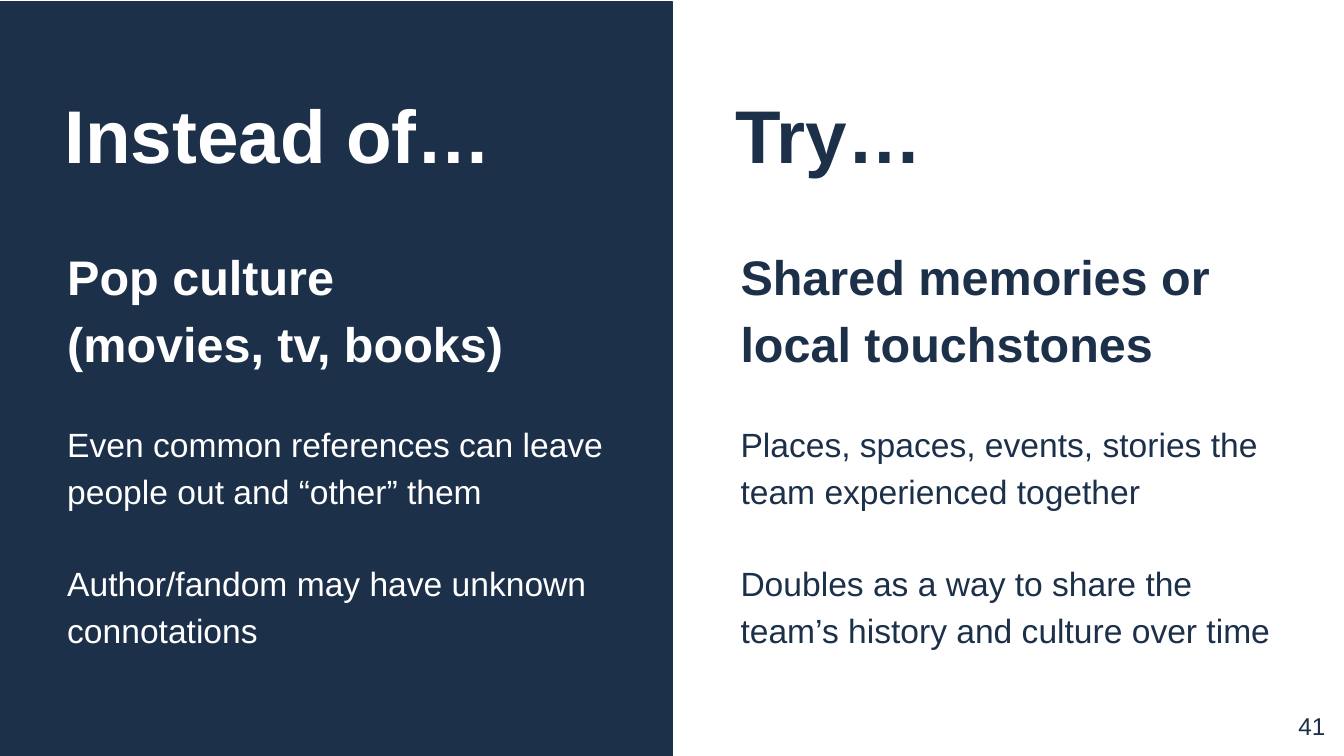
from dataclasses import dataclass

from pptx import Presentation
from pptx.dml.color import RGBColor
from pptx.enum.shapes import MSO_SHAPE as Shape
from pptx.enum.text import MSO_ANCHOR as Anchor, PP_ALIGN as Align
from pptx.slide import Slide
from pptx.util import Inches, Pt

WIDTH = 10
HEIGHT = WIDTH * 9 / 16
COLUMN = WIDTH / 2
NAVY, WHITE = "1C304A", "FFFFFF"
FONT = "Arial"
BODY_GAP = 24.8  # one body line, in points


@dataclass(frozen=True)
class Line:
    text: str
    size: float
    bold: bool = False
    space_before: float = 0
    spacing: float = 1.0
    align: Align = Align.LEFT


@dataclass(frozen=True)
class Panel:
    column: int
    top: float
    height: float
    fill: str
    ink: str
    title_indent: float
    body_indent: float
    body_width: float
    title: str
    headings: tuple[str, ...]
    points: tuple[str, ...]


PANELS = (
    Panel(1, 0, HEIGHT, WHITE, NAVY, 0.47, 0.51, 4.11, "Try…",
          ("Shared memories or local touchstones",),
          ("Places, spaces, events, stories the team experienced together",
           "Doubles as a way to share the team’s history and culture over time")),
    Panel(0, 0.01, 5.62, NAVY, WHITE, 0.48, 0.5, 4.45, "Instead of…",
          ("Pop culture", "(movies, tv, books)"),
          ("Even common references can leave people out and “other” them",
           "Author/fandom may have unknown connotations")),
)


def color(value: str) -> RGBColor:
    return RGBColor.from_string(value)


def add_text(slide: Slide, left: float, top: float, width: float, height: float,
             lines: list[Line], ink: str, inset: float = 0) -> None:
    box = slide.shapes.add_textbox(Inches(left), Inches(top), Inches(width), Inches(height))
    frame = box.text_frame
    frame.word_wrap = True
    frame.vertical_anchor = Anchor.TOP
    frame.margin_left = frame.margin_right = Inches(inset)
    frame.margin_top = frame.margin_bottom = Inches(inset)
    for index, line in enumerate(lines):
        paragraph = frame.add_paragraph() if index else frame.paragraphs[0]
        paragraph.text = line.text
        paragraph.alignment = line.align
        paragraph.line_spacing = line.spacing
        paragraph.space_before = Pt(line.space_before)
        font = paragraph.font
        font.name, font.size, font.bold = FONT, Pt(line.size), line.bold
        font.color.rgb = color(ink)


def add_panel(slide: Slide, panel: Panel) -> None:
    left = panel.column * COLUMN
    background = slide.shapes.add_shape(
        Shape.RECTANGLE, Inches(left), Inches(panel.top), Inches(COLUMN), Inches(panel.height))
    background.shadow.inherit = False
    background.fill.solid()
    background.fill.fore_color.rgb = color(panel.fill)
    background.line.color.rgb = color(panel.fill)
    background.line.width = Pt(0.75)

    add_text(slide, left + panel.title_indent, 0.66, 3.93, 0.92,
             [Line(panel.title, 40, bold=True)], panel.ink)
    headings = [Line(text, 26, bold=True, spacing=1.15) for text in panel.headings]
    points = [Line(text, 18, space_before=BODY_GAP, spacing=1.15) for text in panel.points]
    add_text(slide, left + panel.body_indent, 1.77, panel.body_width, 3.42,
             headings + points, panel.ink)


def main() -> None:
    presentation = Presentation()
    presentation.slide_width, presentation.slide_height = Inches(WIDTH), Inches(HEIGHT)
    slide = presentation.slides.add_slide(presentation.slide_layouts[6])
    for panel in PANELS:
        add_panel(slide, panel)
    add_text(slide, 9.36, 5.19, 0.6, 0.43, [Line("41", 13, align=Align.RIGHT)], NAVY, inset=0.1)
    presentation.save("out.pptx")


if __name__ == "__main__":
    main()
